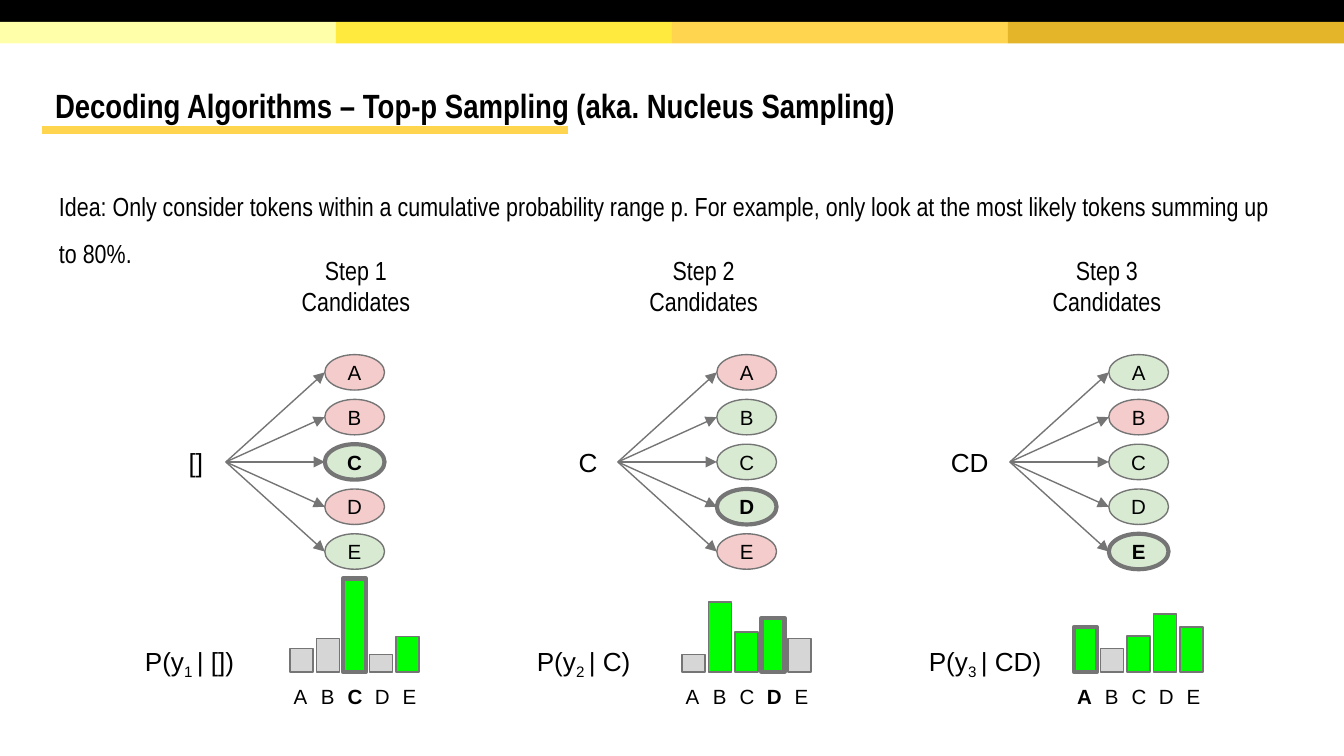
from lxml import etree
from pptx import Presentation
from pptx.dml.color import RGBColor
from pptx.enum.shapes import MSO_CONNECTOR, MSO_SHAPE
from pptx.enum.text import MSO_ANCHOR, MSO_AUTO_SIZE, PP_ALIGN
from pptx.oxml.ns import qn
from pptx.util import Pt

RECTANGLE, OVAL = MSO_SHAPE.RECTANGLE, MSO_SHAPE.OVAL
STRAIGHT = MSO_CONNECTOR.STRAIGHT
LEFT, CENTER = PP_ALIGN.LEFT, PP_ALIGN.CENTER
TOP, MIDDLE = MSO_ANCHOR.TOP, MSO_ANCHOR.MIDDLE

BLACK = RGBColor(0x00, 0x00, 0x00)
GRAY = RGBColor(0x75, 0x75, 0x75)
LIGHT_GRAY = RGBColor(0xD6, 0xD6, 0xD6)
BRIGHT_GREEN = RGBColor(0x00, 0xFF, 0x00)
PALE_GREEN = RGBColor(0xD9, 0xEA, 0xD3)
PALE_RED = RGBColor(0xF4, 0xCC, 0xCC)
GOLD = RGBColor(0xFF, 0xD5, 0x4F)
BAND_COLORS = (RGBColor(0xFF, 0xFF, 0xAA), RGBColor(0xFF, 0xEA, 0x3D),
               GOLD, RGBColor(0xE4, 0xB4, 0x29))

BODY_FONT, DIAGRAM_FONT = "Arial Narrow", "Arial"
TOKENS = "ABCDE"
STEP_GAP = 210
THIN, THICK = 0.75, 2.25

# Bar heights follow the order of TOKENS
STEPS = (
    dict(heading_left=144.7, prefix="[]", prefix_width=32, label_width=62.5,
         kept="CE", chosen="C", tall="C", heights=(12.5, 18, 50, 9.2, 19)),
    dict(heading_left=331, prefix="C", prefix_width=32, label_width=74,
         kept="BCD", chosen="D", tall="D", heights=(9.2, 37.5, 21.5, 29, 18)),
    dict(heading_left=547, prefix="CD", prefix_width=43, label_width=78,
         kept="ACDE", chosen="E", tall="A", heights=(24, 12.5, 19.3, 31, 24)),
)


class SlideBuilder:
    def __init__(self, slide):
        self.slide = slide

    def format_text(self, shape, size, font, bold=False, align=LEFT,
                    anchor=TOP, insets=(7.2, 7.2), spacing=None):
        frame = shape.text_frame
        frame.word_wrap = True
        frame.auto_size = MSO_AUTO_SIZE.NONE
        frame.vertical_anchor = anchor
        frame.margin_left = frame.margin_right = Pt(insets[0])
        frame.margin_top = frame.margin_bottom = Pt(insets[1])
        for paragraph in frame.paragraphs:
            paragraph.alignment = align
            if spacing:
                paragraph.line_spacing = spacing
            paragraph.font.size = Pt(size)
            paragraph.font.name = font
            paragraph.font.bold = bold
            paragraph.font.color.rgb = BLACK

    def title(self, text, left, top, width, height):
        title = self.slide.shapes.title
        title.left, title.top = Pt(left), Pt(top)
        title.width, title.height = Pt(width), Pt(height)
        title.text_frame.text = text
        self.format_text(title, 18, BODY_FONT, bold=True, anchor=MIDDLE,
                         insets=(5, 3), spacing=0.85)

    def text(self, text, left, top, width, height, size=14,
             font=DIAGRAM_FONT, **style):
        box = self.slide.shapes.add_textbox(Pt(left), Pt(top), Pt(width), Pt(height))
        box.text_frame.text = text
        self.format_text(box, size, font, **style)
        return box

    def probability(self, index, prefix, left, top, width, height):
        box = self.text("P(y", left, top, width, height)
        paragraph = box.text_frame.paragraphs[0]
        subscript = paragraph.add_run()
        subscript.text = f"{index} "
        subscript._r.get_or_add_rPr().set("baseline", "-25000")
        paragraph.add_run().text = f"| {prefix})"

    def shape(self, kind, left, top, width, height, fill, line_width=None):
        shape = self.slide.shapes.add_shape(kind, Pt(left), Pt(top), Pt(width), Pt(height))
        shape.shadow.inherit = False
        shape.fill.solid()
        shape.fill.fore_color.rgb = fill
        if line_width:
            shape.line.color.rgb = GRAY
            shape.line.width = Pt(line_width)
        else:
            shape.line.fill.background()
        return shape

    def candidate(self, token, left, top, width, height, fill, chosen):
        oval = self.shape(OVAL, left, top, width, height, fill,
                          THICK if chosen else THIN)
        oval.text_frame.text = token
        self.format_text(oval, 11, DIAGRAM_FONT, bold=chosen, align=CENTER,
                         anchor=MIDDLE, insets=(0, 0))

    def line(self, start, end, color, width, arrow=False, source=None):
        connector = self.slide.shapes.add_connector(
            STRAIGHT, *(Pt(value) for value in (*start, *end)))
        connector.line.color.rgb = color
        connector.line.width = Pt(width)
        if arrow:
            etree.SubElement(connector.line._get_or_add_ln(), qn("a:tailEnd"),
                             type="triangle")
        etree.SubElement(connector._element.spPr, qn("a:effectLst"))
        if source is not None:
            connector.begin_connect(source, 3)


def draw_step(builder, index, step):
    offset = index * STEP_GAP
    prefix = step["prefix"]
    builder.text(f"Step {index + 1}\nCandidates", step["heading_left"], 129, 92, 50,
                 font=BODY_FONT, align=CENTER)

    # Prefix with arrows to its candidates
    prefix_right, middle = 121 + offset, 247.5
    source = builder.text(prefix, prefix_right - step["prefix_width"], 229,
                          step["prefix_width"], 37, align=CENTER, anchor=MIDDLE)
    for row, token in enumerate(TOKENS):
        left, top = 174 + offset, 190 + 24 * row
        builder.candidate(token, left, top, 32, 19,
                          PALE_GREEN if token in step["kept"] else PALE_RED,
                          token == step["chosen"])
        builder.line((prefix_right, middle), (left, top + 9.5), GRAY, THIN,
                     arrow=True, source=source)

    # Probability bars with token labels
    builder.probability(index + 1, prefix, 70.5 + offset, 338.5,
                        step["label_width"], 50)
    for column, (token, height) in enumerate(zip(TOKENS, step["heights"])):
        tall = token == step["tall"]
        builder.shape(RECTANGLE, 155.3 + offset + 14.2 * column, 360 - height,
                      12.4, height,
                      BRIGHT_GREEN if token in step["kept"] else LIGHT_GRAY,
                      THICK if tall else THIN)
        builder.text(token, 150.5 + offset + 14.6 * column, 367, 21, 12, size=11,
                     bold=tall, align=CENTER, anchor=MIDDLE, insets=(0, 0))


def main():
    presentation = Presentation()
    presentation.slide_width, presentation.slide_height = Pt(720), Pt(405)
    slide = presentation.slides.add_slide(presentation.slide_layouts[5])
    builder = SlideBuilder(slide)

    # Header bands
    builder.shape(RECTANGLE, 0, 0, 720, 11.7, BLACK)
    for column, color in enumerate(BAND_COLORS):
        builder.shape(RECTANGLE, 180 * column, 11.7, 180, 11.6, color)

    # Title and idea
    builder.line((22.7, 69.6), (304.3, 69.6), GOLD, 4.5)
    builder.title("Decoding Algorithms – Top-p Sampling (aka. Nucleus Sampling)",
                  24.5, 35, 671, 45.5)
    builder.text("Idea: Only consider tokens within a cumulative probability range p. "
                 "For example, only look at the most likely tokens summing up to 80%.",
                 24.5, 86.5, 671, 50, font=BODY_FONT, spacing=1.5)

    # Decoding steps
    for index, step in enumerate(STEPS):
        draw_step(builder, index, step)

    presentation.save("out.pptx")


if __name__ == "__main__":
    main()
